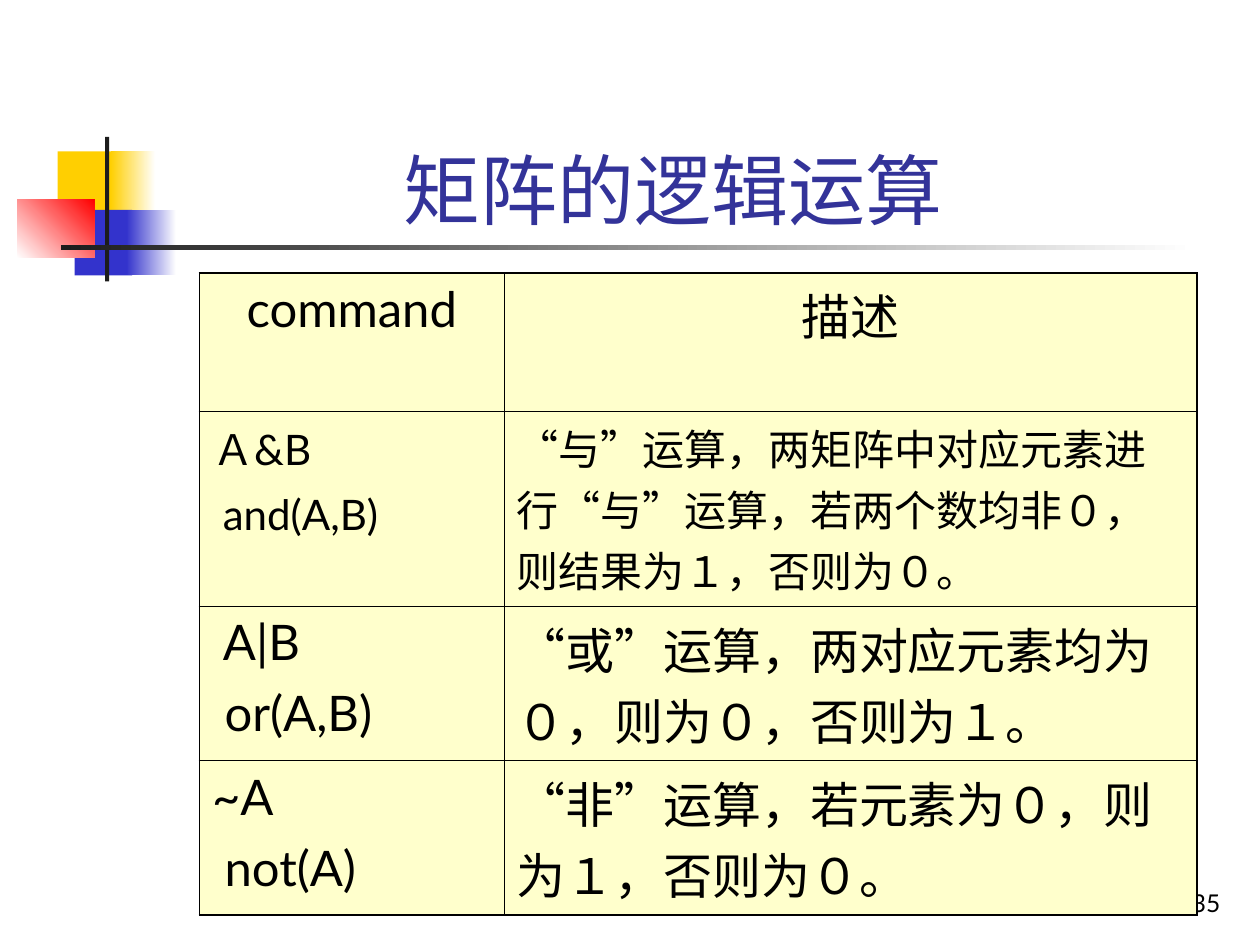
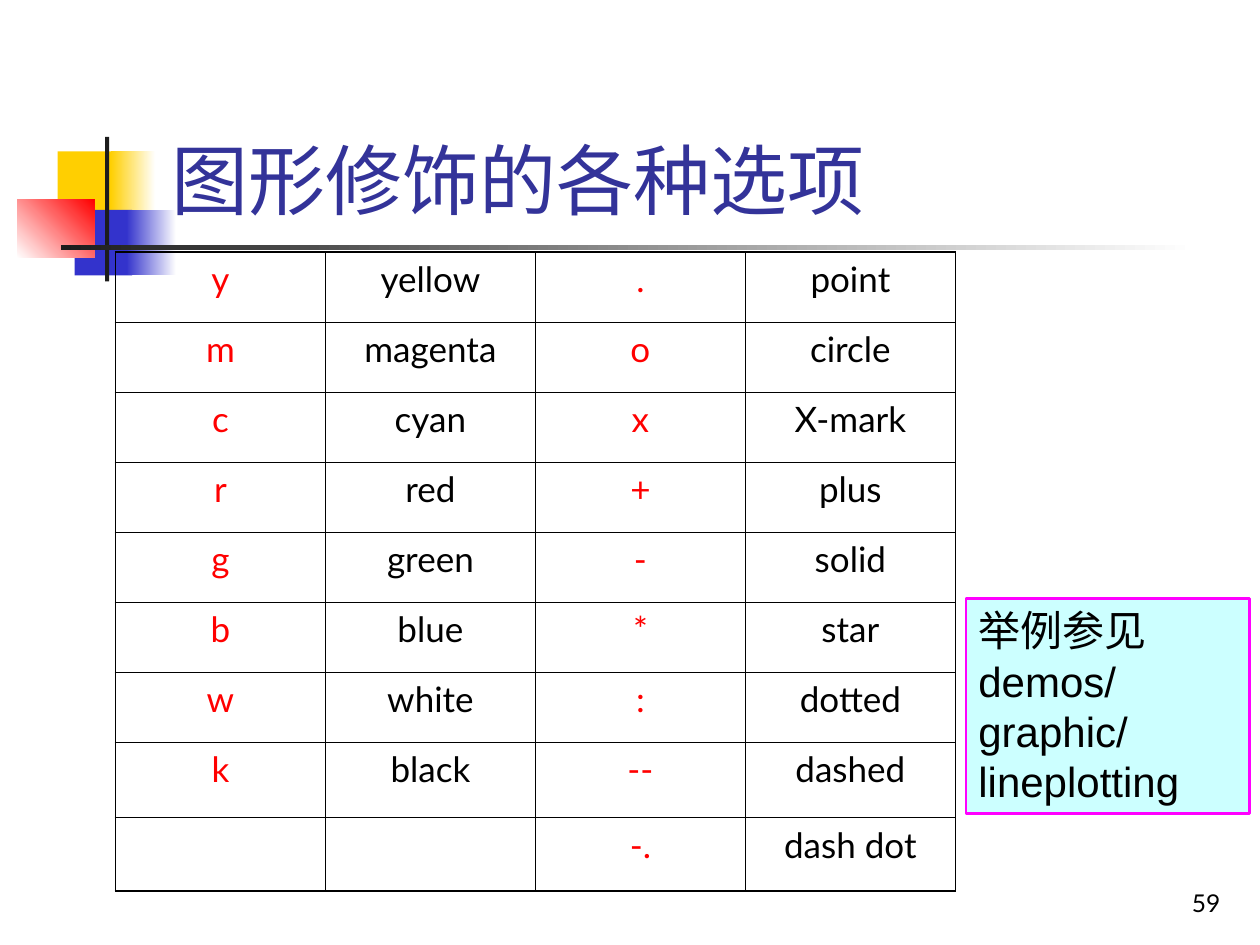
from lxml.etree import SubElement
from pptx import Presentation
from pptx.dml.color import RGBColor
from pptx.enum.lang import MSO_LANGUAGE_ID
from pptx.enum.shapes import MSO_SHAPE
from pptx.enum.text import MSO_ANCHOR, MSO_AUTO_SIZE, PP_ALIGN
from pptx.oxml.ns import qn
from pptx.util import Inches, Pt

BLACK = RGBColor(0, 0, 0)
WHITE = RGBColor(255, 255, 255)
RED = RGBColor(255, 0, 0)
GOLD = RGBColor(0xFF, 0xCF, 0x01)
BLUE = RGBColor(0x33, 0x33, 0xCC)
NAVY = RGBColor(0x33, 0x33, 0x99)
COAL = RGBColor(0x1C, 0x1C, 0x1C)
CREAM = RGBColor(0xFF, 0xFF, 0xCC)
AQUA = RGBColor(0xCC, 0xFF, 0xFF)
PINK = RGBColor(0xFF, 0, 0xFF)

WIDE, HIGH = Inches(10), Inches(7.5)
COLS, ROWS = 120, 90
THICK, THIN = Pt(1.08), Pt(0.45)


class Deck:
    def __init__(self):
        self.show = Presentation()
        self.show.slide_width, self.show.slide_height = WIDE, HIGH
        self.frame = self.show.slide_layouts[5]
        for holder in list(self.frame.placeholders)[1:]:
            holder.element.getparent().remove(holder.element)
        self.slide = None

    def across(self, cols):
        return round(WIDE * cols / COLS)

    def down(self, rows):
        return round(HIGH * rows / ROWS)

    def place(self, x, y, w, h):
        return self.across(x), self.down(y), self.across(w), self.down(h)

    def style(self, text, size, color=BLACK, align=PP_ALIGN.LEFT, gap=0, face="Lato"):
        for par in text.paragraphs:
            par.alignment = align
            par.space_before = Pt(gap)
            for run in par.runs:
                font = run.font
                font.name, font.size = face, Pt(size)
                font.color.rgb = color
                font.language_id = MSO_LANGUAGE_ID.SIMPLIFIED_CHINESE

    def block(self, area, fill, fade=None, angle=0):
        shape = self.slide.shapes.add_shape(MSO_SHAPE.RECTANGLE, *self.place(*area))
        shape.shadow.inherit = False
        shape.line.fill.background()
        if fade is None:
            shape.fill.solid()
            shape.fill.fore_color.rgb = fill
        else:
            shape.fill.gradient()
            shape.fill.gradient_angle = angle
            for stop, color in zip(shape.fill.gradient_stops, (fill, fade)):
                stop.color.rgb = color
        return shape

    def badge(self):
        parts = [
            ((5.5, 14.43, 5.75, 6.25), GOLD),
            ((10.55, 14.43, 4.25, 6.25), GOLD, WHITE),
            ((7.1, 19.98, 5.5, 6.25), BLUE),
            ((12.05, 19.98, 4.75, 6.25), BLUE, WHITE),
            ((1.65, 19, 7.35, 5.55), WHITE, RED, 45),
            ((10, 13.05, 0.4, 13.75), COAL),
            ((5.8, 23.35, 108, 0.42), COAL, WHITE),
        ]
        tree = self.frame.shapes.element
        for index, part in enumerate(parts, 100):
            shape = self.block(*part).element
            shape.xpath("p:nvSpPr/p:cNvPr")[0].set("id", str(index))
            tree.append(shape)

    def page(self, title, area, number, align=PP_ALIGN.LEFT):
        first = self.slide is None
        self.slide = self.show.slides.add_slide(self.frame)
        if first:
            self.badge()
        head = self.slide.shapes.title
        head.left, head.top, head.width, head.height = self.place(*area)
        text = head.text_frame
        text.text = title
        text.auto_size = MSO_AUTO_SIZE.NONE
        text.vertical_anchor = MSO_ANCHOR.BOTTOM
        self.style(text, 44, NAVY, align)
        foot = self.slide.shapes.add_textbox(*self.place(92.4, 81.92, 25, 6)).text_frame
        foot.word_wrap = True
        foot.vertical_anchor = MSO_ANCHOR.BOTTOM
        foot.text = str(number)
        self.style(foot, 14, align=PP_ALIGN.RIGHT)

    def note(self, words, area):
        shape = self.block(area, AQUA)
        shape.line.color.rgb, shape.line.width = PINK, Pt(1.5)
        text = shape.text_frame
        text.word_wrap = True
        text.vertical_anchor = MSO_ANCHOR.TOP
        text.text = words
        self.style(text, 24, gap=15, face="Arial")

    def edge(self, cell, widths):
        props = cell._tc.get_or_add_tcPr()
        for index, (side, width) in enumerate(zip("LRTB", widths)):
            line = SubElement(props, qn(f"a:ln{side}"), w=str(width))
            fill = SubElement(line, qn("a:solidFill"))
            SubElement(fill, qn("a:srgbClr"), val=str(BLACK))
            props.insert(index, line)

    def table(self, data, spot, cols, rows, look, fill=None):
        area = (*spot, sum(cols), sum(rows))
        grid = self.slide.shapes.add_table(len(rows), len(cols), *self.place(*area)).table
        grid.first_row = grid.horz_banding = False
        for col, width in zip(grid.columns, cols):
            col.width = self.across(width)
        for row, height in zip(grid.rows, rows):
            row.height = self.down(height)
        for r, line in enumerate(data):
            for c, words in enumerate(line):
                cell = grid.cell(r, c)
                if fill is None:
                    cell.fill.background()
                else:
                    cell.fill.solid()
                    cell.fill.fore_color.rgb = fill
                outer = c == 0, c == len(cols) - 1, r == 0, r == len(rows) - 1
                self.edge(cell, [THICK if out else THIN for out in outer])
                if words:
                    size, color, align = look(r, c)
                    cell.text_frame.text = words
                    self.style(cell.text_frame, size, color, align, size / 4)


def logic(row, col):
    return 24 if row == 1 else 28, BLACK, PP_ALIGN.LEFT if row else PP_ALIGN.CENTER


def marks(row, col):
    return 20, BLACK if col % 2 else RED, PP_ALIGN.CENTER


def main():
    deck = Deck()

    deck.page("矩阵的逻辑运算", (13, 8, 102.25, 15), 35, PP_ALIGN.CENTER)
    rules = [
        ("command", "描述"),
        ("Ａ&B\n and(A,B)", "“与”运算，两矩阵中对应元素进行“与”运算，若两个数均非０，则结果为１，否则为０。"),
        (" A|B\n or(A,B)", "“或”运算，两对应元素均为０，则为０，否则为１。"),
        ("~A\n not(A)", "“非”运算，若元素为０，则为１，否则为０。"),
    ]
    deck.table(rules, (19, 26), (29, 66), (13.14, 18.6, 14.7, 14.7), logic, CREAM)

    deck.page("图形修饰的各种选项", (15.1, 2.8, 102.25, 19.2), 59)
    deck.note("举例参见demos/graphic/lineplotting", (92, 57, 27, 20.45))
    codes = [
        ("y", "yellow", ".", "point"),
        ("m", "magenta", "o", "circle"),
        ("c", "cyan", "x", "X-mark"),
        ("r", "red", "+", "plus"),
        ("g", "green", "-", "solid"),
        ("b", "blue", "*", "star"),
        ("w", "white", ":", "dotted"),
        ("k", "black", "--", "dashed"),
        ("", "", "-.", "dash dot"),
    ]
    deck.table(codes, (11, 24), [20] * 4, [6.67] * 7 + [7.18, 7], marks)

    deck.show.save("out.pptx")


if __name__ == "__main__":
    main()
